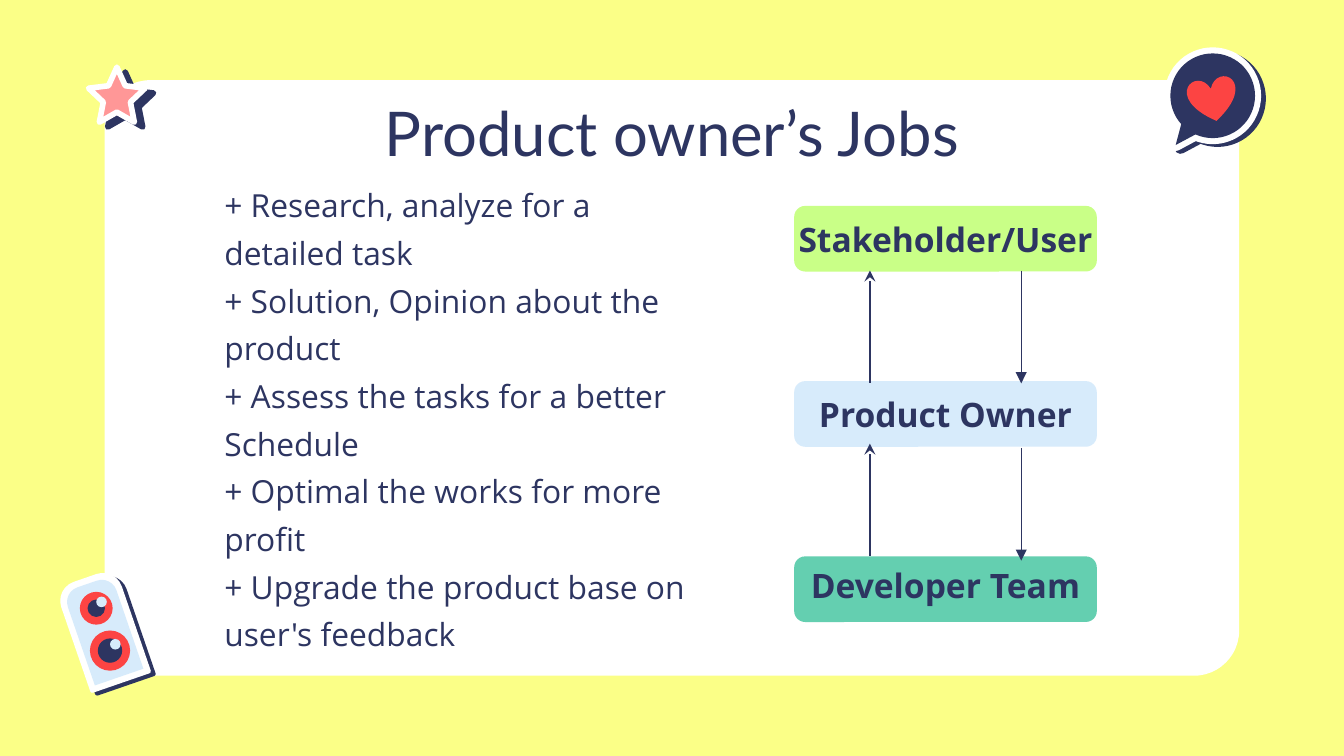
from math import cos, radians, sin

from lxml.etree import SubElement
from pptx import Presentation
from pptx.dml.color import RGBColor
from pptx.enum.shapes import MSO_CONNECTOR, MSO_SHAPE
from pptx.enum.text import MSO_ANCHOR, MSO_AUTO_SIZE, PP_ALIGN
from pptx.oxml.ns import qn
from pptx.util import Cm, Pt

YELLOW = RGBColor(0xFB, 0xFF, 0x87)
WHITE = RGBColor(0xFF, 0xFF, 0xFF)
NAVY = RGBColor(0x2D, 0x35, 0x61)
PINK = RGBColor(0xFF, 0x97, 0x97)
RED = RGBColor(0xFC, 0x44, 0x43)
SKY = RGBColor(0xD7, 0xEB, 0xFB)
LIME = RGBColor(0xC9, 0xFF, 0x87)
GREEN = RGBColor(0x64, 0xCF, 0xB0)

FRAME = dict(word_wrap=True, auto_size=MSO_AUTO_SIZE.NONE,
             vertical_anchor=MSO_ANCHOR.MIDDLE)
TITLE_FONT = dict(name="Lato", size=Pt(33), bold=False)
BODY_FONT = dict(name="Open Sans", size=Pt(17), bold=False)
LABEL_FONT = dict(name="Open Sans", size=Pt(18), bold=True)


def apply_format(target, values):
    for name, value in values.items():
        setattr(target, name, value)


class SlideBuilder:
    def __init__(self, slide):
        self.slide = slide
        self.shapes = slide.shapes
        slide.background.fill.solid()
        slide.background.fill.fore_color.rgb = YELLOW

    def place(self, item, left, top, width, height):
        apply_format(item, dict(left=Cm(left), top=Cm(top),
                                width=Cm(width), height=Cm(height)))

    def fill_text(self, frame, lines, font, margin, align, spacing=1.0):
        sides = ("left", "top", "right", "bottom")
        apply_format(frame, FRAME)
        apply_format(frame, {f"margin_{side}": Cm(margin) for side in sides})
        for index, line in enumerate(lines):
            paragraph = frame.paragraphs[0] if index == 0 else frame.add_paragraph()
            properties = paragraph._p.get_or_add_pPr()
            properties.set("marL", "0")
            properties.set("indent", "0")
            SubElement(properties, qn("a:buNone"))
            apply_format(paragraph, dict(alignment=align, line_spacing=spacing,
                                         space_before=Pt(0)))
            run = paragraph.add_run()
            run.text = line
            apply_format(run.font, font)
            run.font.color.rgb = NAVY

    def paint(self, shape, fill, outline=0, shadow=0):
        shape.fill.solid()
        shape.fill.fore_color.rgb = fill
        shape.shadow.inherit = False
        if outline:
            shape.line.color.rgb = WHITE
            shape.line.width = Pt(outline)
            SubElement(shape.line._get_or_add_ln(), qn("a:round"))
        else:
            shape.line.fill.background()
        if shadow:
            effects = shape._element.spPr.find(qn("a:effectLst"))
            outer = SubElement(effects, qn("a:outerShdw"), blurRad="0",
                               dist=str(Pt(shadow)), dir="1800000", rotWithShape="0")
            SubElement(outer, qn("a:srgbClr"), val=str(NAVY))
        return shape

    def preset(self, kind, center, size, fill, adjust=None, rotation=0, **style):
        (x, y), (width, height) = center, size
        shape = self.shapes.add_shape(kind, Cm(x - width / 2), Cm(y - height / 2),
                                      Cm(width), Cm(height))
        shape.rotation = rotation
        if adjust is not None:
            shape.adjustments[0] = adjust
        return self.paint(shape, fill, **style)

    def bubble(self, center, radius, tip, fill, **style):
        # Circle left open at the lower left, where the tail leaves it
        x, y = center
        points = [(Cm(x + radius * cos(radians(angle))),
                   Cm(y + radius * sin(radians(angle)))) for angle in range(138, 475, 6)]
        points.append((Cm(tip[0]), Cm(tip[1])))
        outline = self.shapes.build_freeform(*points[0])
        outline.add_line_segments(points[1:], close=True)
        return self.paint(outline.convert_to_shape(), fill, **style)

    def arrow(self, x, top, length, end, head):
        line = self.shapes.add_connector(MSO_CONNECTOR.STRAIGHT, Cm(x), Cm(top),
                                         Cm(x), Cm(top + length))
        line.line.color.rgb = NAVY
        line.line.width = Pt(0.75)
        SubElement(line.line._get_or_add_ln(), qn(f"a:{end}"), type=head)
        SubElement(line._element.spPr, qn("a:effectLst"))


def main():
    deck = Presentation()
    deck.slide_width, deck.slide_height = Cm(25.4), Cm(14.28)
    slide = deck.slides.add_slide(deck.slide_layouts[1])
    page = SlideBuilder(slide)

    # White panel, behind the placeholders
    panel = page.preset(MSO_SHAPE.ROUNDED_RECTANGLE, (12.7, 7.14), (21.44, 11.25),
                        WHITE, adjust=0.076)
    slide.shapes._spTree.insert(2, panel._element)

    # Title and list of jobs
    title, jobs = slide.placeholders
    page.place(title, 1.98, 1.52, 21.44, 1.93)
    page.fill_text(title.text_frame, ["Product owner’s Jobs"], TITLE_FONT, 0.25,
                   PP_ALIGN.CENTER)
    page.place(jobs, 3.99, 3.2, 9.63, 9.27)
    page.fill_text(jobs.text_frame, [
        "+ Research, analyze for a detailed task",
        "+ Solution, Opinion about the product",
        "+ Assess the tasks for a better Schedule",
        "+ Optimal the works for more profit",
        "+ Upgrade the product base on user's feedback",
    ], BODY_FONT, 0.25, PP_ALIGN.LEFT, spacing=1.25)

    # Star
    page.preset(MSO_SHAPE.STAR_5_POINT, (2.21, 1.79), (1.07, 1.04), PINK,
                adjust=0.24, outline=3, shadow=5.2)

    # Loudspeaker: case, front, then two cones with pupil and glint
    for size, fill, style in (((1.13, 2.02), WHITE, dict(outline=2.25, shadow=3)),
                              ((0.97, 1.86), SKY, {})):
        page.preset(MSO_SHAPE.ROUND_2_SAME_RECTANGLE, (1.95, 11.91), size, fill,
                    adjust=0.3, rotation=-19, **style)
    for x, y, cone, pupil in ((1.82, 11.49, 0.62, 0.33), (2.08, 12.29, 0.76, 0.46)):
        for center, size, fill in (((x, y), cone, RED), ((x, y), pupil, NAVY),
                                   ((x + 0.1, y - 0.12), 0.2, SKY)):
            page.preset(MSO_SHAPE.OVAL, center, (size, size), fill)

    # Speech bubble with heart
    for fill, style in ((WHITE, dict(outline=6.5, shadow=3)), (NAVY, {})):
        page.bubble((22.92, 1.81), 0.8, (22.22, 2.74), fill, **style)
    page.preset(MSO_SHAPE.HEART, (22.92, 1.88), (0.92, 0.82), RED, rotation=-10)

    # Role boxes
    left, top, width, height, step = 15.01, 3.89, 5.72, 1.24, 3.31
    roles = (("Stakeholder/User", LIME), ("Product Owner", SKY), ("Developer Team", GREEN))
    for index, (role, fill) in enumerate(roles):
        center = (left + width / 2, top + height / 2 + index * step)
        box = page.preset(MSO_SHAPE.ROUNDED_RECTANGLE, center, (width, height), fill,
                          adjust=0.167)
        page.fill_text(box.text_frame, [role], LABEL_FONT, 0, PP_ALIGN.CENTER)
    box.text_frame.margin_bottom = Cm(0.15)

    # Arrows up and down at the quarter points of the boxes
    for share, starts, end, head in ((0.75, (5.11, 8.46), "tailEnd", "triangle"),
                                     (0.25, (5.11, 8.38), "headEnd", "stealth")):
        for start in starts:
            page.arrow(left + share * width, start, 2.13, end, head)

    deck.save("out.pptx")


if __name__ == "__main__":
    main()
